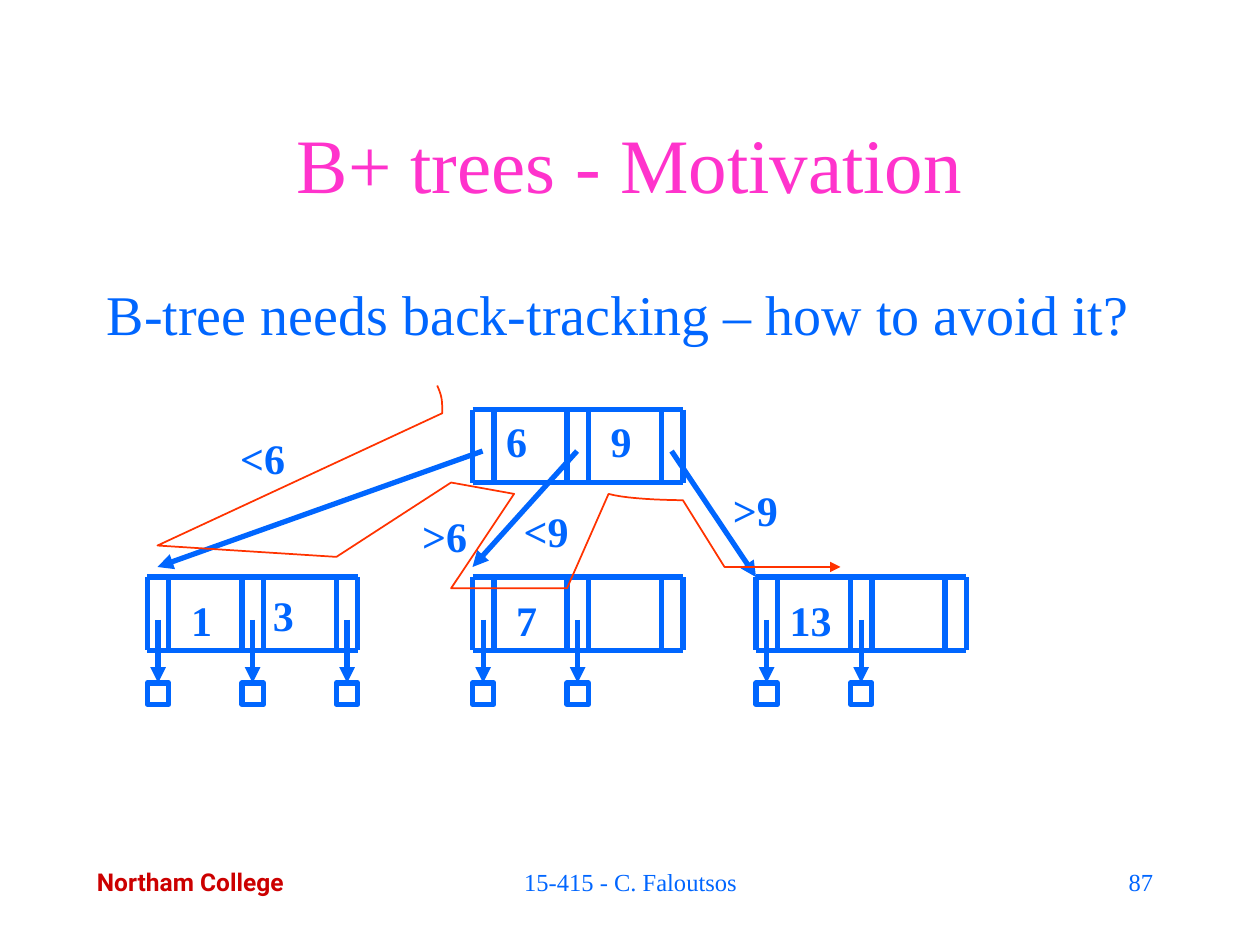
"""Build the slide that motivates B+ trees with a B-tree traversal."""
from dataclasses import dataclass

from lxml import etree
from pptx import Presentation
from pptx.dml.color import RGBColor
from pptx.enum.shapes import MSO_CONNECTOR, MSO_SHAPE
from pptx.enum.text import MSO_ANCHOR, MSO_AUTO_SIZE, PP_ALIGN
from pptx.oxml.ns import qn
from pptx.util import Inches, Pt

STRAIGHT = MSO_CONNECTOR.STRAIGHT
RECT = MSO_SHAPE.RECTANGLE
LEFT, CENTER, RIGHT = PP_ALIGN.LEFT, PP_ALIGN.CENTER, PP_ALIGN.RIGHT
MIDDLE = MSO_ANCHOR.MIDDLE
NO_FIT = MSO_AUTO_SIZE.NONE

BLUE = RGBColor(0x00, 0x66, 0xFF)
PINK = RGBColor(0xFF, 0x33, 0xCC)
RED = RGBColor(0xCC, 0x00, 0x00)
ORANGE = RGBColor(0xFF, 0x33, 0x00)
WHITE = RGBColor(0xFF, 0xFF, 0xFF)

SERIF = "Times New Roman"
SLOT_W = 0.17
SLOT_PITCH = 0.75
SLOTS = 3
NODE_W = 2 * SLOT_PITCH + SLOT_W
NODE_H = 0.58
LEAF_TOP = 4.58

Point = tuple[float, float]


@dataclass(frozen=True)
class Node:
    left: float
    top: float
    pointers: int = 0


@dataclass(frozen=True)
class Label:
    text: str
    left: float
    top: float
    width: float
    height: float = 0.5
    size: int = 24
    color: RGBColor = BLUE
    bold: bool = True
    font: str = SERIF
    align: PP_ALIGN = CENTER
    wrap: bool = False


NODES = [Node(3.75, 3.25), Node(6, LEAF_TOP, 2),
         Node(3.75, LEAF_TOP, 2), Node(1.17, LEAF_TOP, 3)]

BRANCHES = [((3.83, 3.58), (1.25, 4.5)),
            ((4.58, 3.58), (3.75, 4.5)),
            ((5.33, 3.58), (6, LEAF_TOP))]

TITLE = Label("B+ trees - Motivation", 0.75, 0.67, 8.5, 1.25, 44, PINK,
              bold=False, wrap=True)

LABELS = [
    Label("Northam College", 0.67, 6.83, 1.81, 0.34, 14, RED,
          font="Roboto", align=LEFT),
    Label("B-tree needs back-tracking – how to avoid it?", 0.75, 2.17, 8.5,
          0.67, 32, bold=False, align=LEFT, wrap=True),
    Label("1", 1.42, 4.67, 0.36),
    Label("3", 2.07, 4.63, 0.36),
    Label("6", 3.92, 3.25, 0.36),
    Label("7", 4, 4.67, 0.36),
    Label("9", 4.75, 3.25, 0.36),
    Label("13", 6.17, 4.67, 0.53),
    Label("<6", 1.81, 3.38, 0.55),
    Label(">6", 3.25, 4, 0.56),
    Label("<9", 4.06, 3.96, 0.55),
    Label(">9", 5.72, 3.8, 0.55),
    Label("15-415 - C. Faloutsos", 3.42, 6.83, 3.17, size=14, bold=False,
          wrap=True),
    Label("87", 7.17, 6.83, 2.08, size=14, bold=False, align=RIGHT,
          wrap=True),
]


def curve(p0: Point, p1: Point, p2: Point, p3: Point,
          steps: int = 10) -> list[Point]:
    """Return points along a cubic Bezier curve."""
    points = []
    for i in range(steps + 1):
        t = i / steps
        u = 1 - t
        weights = (u ** 3, 3 * u * u * t, 3 * u * t * t, t ** 3)
        points.append(tuple(
            sum(w * v for w, v in zip(weights, axis))
            for axis in zip(p0, p1, p2, p3)))
    return points


TRAVERSAL = [
    *curve((3.47, 3.06), (3.51, 3.15), (3.51, 3.18), (3.51, 3.28)),
    (1.25, 4.33), (2.67, 4.42), (3.58, 3.83), (4.08, 3.92), (3.58, 4.67),
    (4.5, 4.67),
    *curve((4.83, 3.92), (4.97, 3.96), (5.28, 3.97), (5.42, 3.97)),
    (5.75, 4.5), (6.67, 4.5),
]


def add_arrowhead(sp) -> None:
    """Put a triangle at the end of a line."""
    etree.SubElement(sp.line._get_or_add_ln(), qn("a:tailEnd"),
                     type="triangle")


def style_line(sp, color: RGBColor, width: float) -> None:
    """Set the colour and width of an outline."""
    sp.line.color.rgb = color
    sp.line.width = Pt(width)


def add_line(s, start: Point, end: Point, arrow: bool = False):
    """Draw a straight tree line."""
    sp = s.shapes.add_connector(
        STRAIGHT, *(Inches(v) for v in (*start, *end)))
    style_line(sp, BLUE, 3)
    if arrow:
        add_arrowhead(sp)
    etree.SubElement(sp._element.spPr, qn("a:effectLst"))
    return sp


def add_node(s, node: Node) -> None:
    """Draw a tree node with its pointer slots and data blocks."""
    bottom = node.top + NODE_H
    slots = [node.left + i * SLOT_PITCH for i in range(SLOTS)]
    for left in slots:
        for x in (left, left + SLOT_W):
            add_line(s, (x, node.top), (x, bottom))
    for y in (node.top, bottom):
        add_line(s, (node.left, y), (node.left + NODE_W, y))
    for left in slots[:node.pointers]:
        add_block(s, left, node.top)


def add_block(s, left: float, node_top: float) -> None:
    """Draw a data block and the pointer that leads to it."""
    top = node_top + 0.84
    sp = s.shapes.add_shape(RECT, Inches(left), Inches(top),
                            Inches(SLOT_W), Inches(SLOT_W))
    sp.shadow.inherit = False
    sp.fill.solid()
    sp.fill.fore_color.rgb = WHITE
    style_line(sp, BLUE, 3)
    x = left + SLOT_W / 2
    add_line(s, (x, node_top + 0.34), (x, top), True).end_connect(sp, 0)


def add_traversal(s, points: list[Point]) -> None:
    """Draw the back-tracking path through the tree."""
    start, *rest = [(Inches(x), Inches(y)) for x, y in points]
    builder = s.shapes.build_freeform(*start)
    builder.add_line_segments(rest, close=False)
    sp = builder.convert_to_shape()
    sp.shadow.inherit = False
    sp.fill.background()
    style_line(sp, ORANGE, 1)
    add_arrowhead(sp)


def write(sp, label: Label) -> None:
    """Place a text shape and fill it with formatted text."""
    for name in ("left", "top", "width", "height"):
        setattr(sp, name, Inches(getattr(label, name)))
    tf = sp.text_frame
    tf.auto_size = NO_FIT
    tf.word_wrap = label.wrap
    p = tf.paragraphs[0]
    p.alignment = label.align
    r = p.add_run()
    r.text = label.text
    formats = {"name": label.font, "size": Pt(label.size), "bold": label.bold}
    for name, value in formats.items():
        setattr(r.font, name, value)
    r.font.color.rgb = label.color


def main() -> None:
    """Build and save the slide."""
    prs = Presentation()
    prs.slide_width, prs.slide_height = Inches(10), Inches(7.5)
    s = prs.slides.add_slide(prs.slide_layouts[5])
    write(s.shapes.title, TITLE)
    s.shapes.title.text_frame.vertical_anchor = MIDDLE
    for node in NODES:
        add_node(s, node)
    for start, end in BRANCHES:
        add_line(s, start, end, True)
    for label in LABELS:
        write(s.shapes.add_textbox(0, 0, 0, 0), label)
    add_traversal(s, TRAVERSAL)
    prs.save("out.pptx")


if __name__ == "__main__":
    main()
